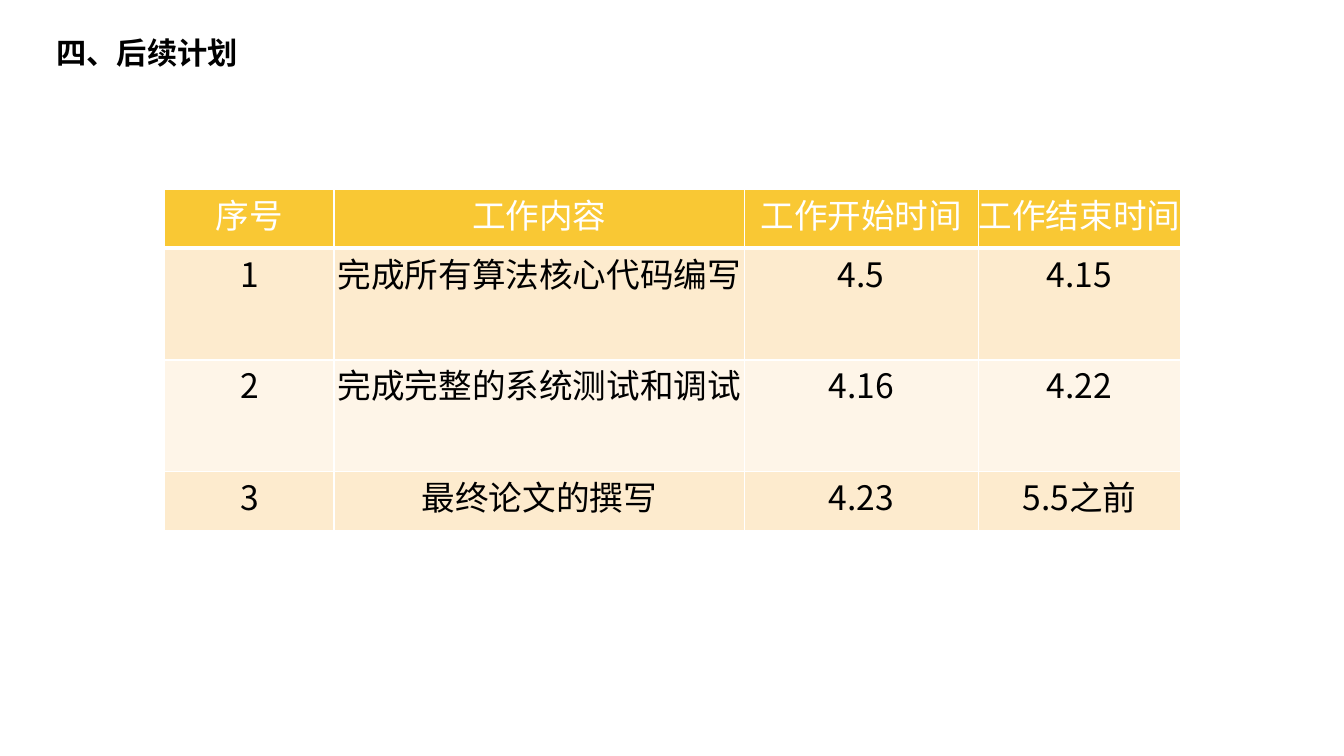
from lxml import etree
from pptx import Presentation
from pptx.dml.color import RGBColor
from pptx.enum.text import MSO_ANCHOR, PP_ALIGN
from pptx.oxml.ns import qn
from pptx.util import Cm, Pt

MIDDLE, TOP = MSO_ANCHOR.MIDDLE, MSO_ANCHOR.TOP
LEFT, CENTER = PP_ALIGN.LEFT, PP_ALIGN.CENTER
CJK = "Noto Sans CJK SC"
COLORS = {
    "text": "000000",
    "white": "FFFFFF",
    "head": "F9C834",
    "odd": "FDEBCE",
    "even": "FEF5E8",
}
WIDTHS = [4.27, 10.34, 5.89, 5.11]
HEIGHTS = [1.47, 2.82, 2.82, 1.47]
PLAN = [
    ["序号", "工作内容", "工作开始时间", "工作结束时间"],
    ["1", "完成所有算法核心代码编写", "4.5", "4.15"],
    ["2", "完成完整的系统测试和调试", "4.16", "4.22"],
    ["3", "最终论文的撰写", "4.23", "5.5之前"],
]


def color(name):
    return RGBColor.from_string(COLORS[name])


def add_run(para, text, size, font, tone, bold=False):
    run = para.add_run()
    run.text = text
    run.font.size = Pt(size)
    run.font.name = font
    run.font.bold = bold
    run.font.color.rgb = color(tone)
    east = etree.SubElement(run.font._element, qn("a:ea"))
    east.set("typeface", CJK)


def add_title(slide, text):
    title = slide.shapes.title
    title.left, title.top = Cm(1.14), Cm(0.71)
    title.width, title.height = Cm(30.15), Cm(1.22)
    frame = title.text_frame
    frame.word_wrap = True
    frame.vertical_anchor = MIDDLE
    frame.margin_left, frame.margin_right = Cm(0.28), Cm(0.2)
    frame.margin_top = frame.margin_bottom = Cm(0.1)
    para = frame.paragraphs[0]
    para.alignment = LEFT
    add_run(para, text, 21.6, "Arial", "text", True)


def add_edge(cell, side, width):
    props = cell._tc.get_or_add_tcPr()
    line = etree.SubElement(props, qn(f"a:ln{side}"), w=str(Pt(width)))
    fill = etree.SubElement(line, qn("a:solidFill"))
    etree.SubElement(fill, qn("a:srgbClr"), val=COLORS["white"])


def fill_cell(cell, text, row):
    cell.margin_left = cell.margin_right = 0
    cell.margin_top = cell.margin_bottom = 0
    cell.vertical_anchor = TOP
    for side in "LRTB":
        thick = (row, side) in [(0, "B"), (1, "T")]
        add_edge(cell, side, 3 if thick else 1)
    band = "head" if row == 0 else "odd" if row % 2 else "even"
    cell.fill.solid()
    cell.fill.fore_color.rgb = color(band)
    para = cell.text_frame.paragraphs[0]
    para.alignment = CENTER
    add_run(para, text, 24, CJK, "white" if row == 0 else "text")


def add_plan(slide):
    frame = slide.shapes.add_table(
        len(PLAN), len(WIDTHS), Cm(4.15), Cm(4.78),
        Cm(sum(WIDTHS)), Cm(sum(HEIGHTS)))
    table = frame.table
    for column, width in zip(table.columns, WIDTHS):
        column.width = Cm(width)
    for row, height in enumerate(HEIGHTS):
        table.rows[row].height = Cm(height)
        for col, text in enumerate(PLAN[row]):
            fill_cell(table.cell(row, col), text, row)


def main():
    deck = Presentation()
    deck.slide_width, deck.slide_height = Cm(33.87), Cm(19.05)
    slide = deck.slides.add_slide(deck.slide_layouts[5])
    add_title(slide, "四、后续计划")
    add_plan(slide)
    deck.save("out.pptx")


if __name__ == "__main__":
    main()
